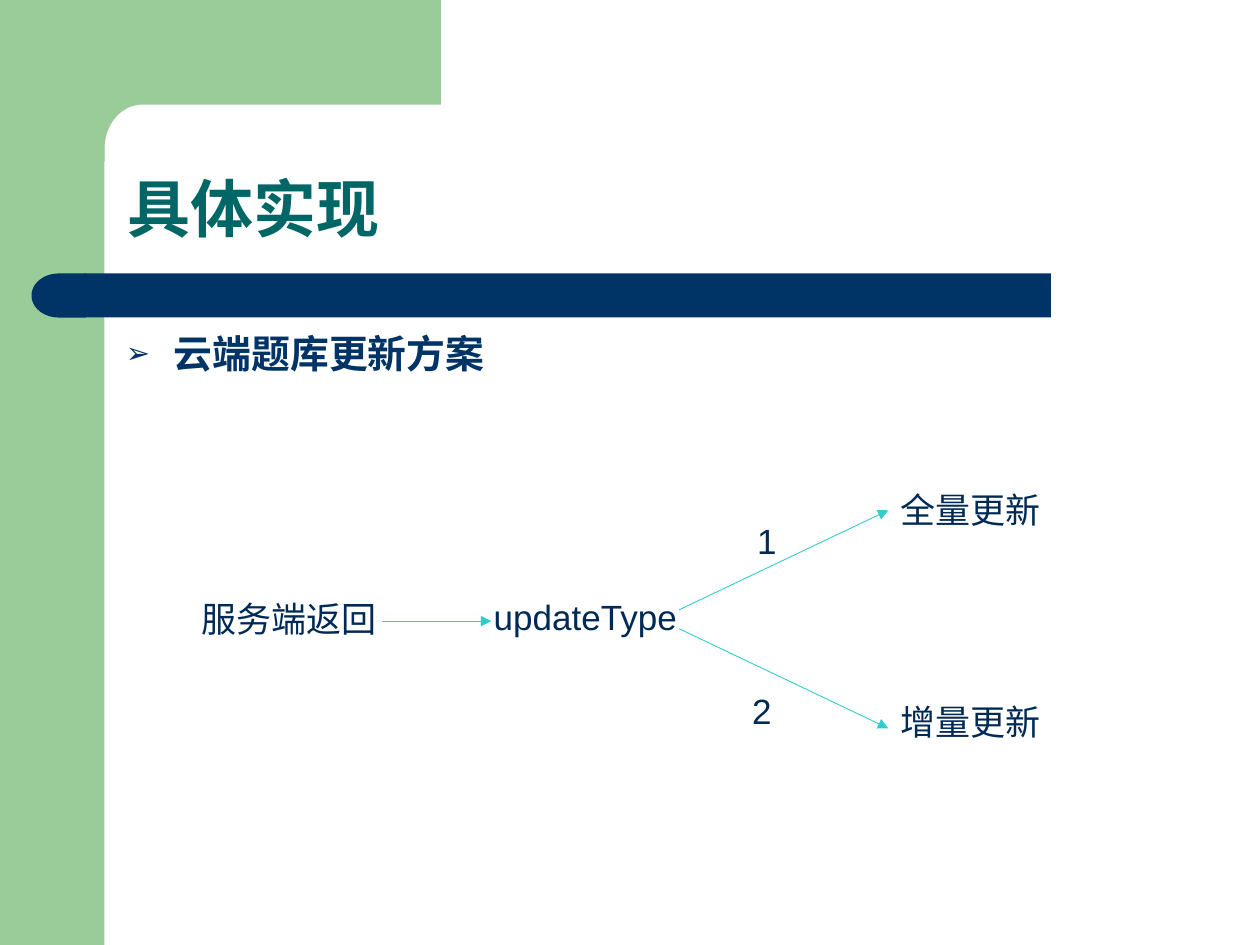
from dataclasses import dataclass
from math import cos, pi, sin

from lxml.etree import SubElement
from pptx import Presentation
from pptx.dml.color import RGBColor
from pptx.enum.shapes import MSO_CONNECTOR, MSO_SHAPE
from pptx.enum.text import MSO_ANCHOR
from pptx.oxml.ns import qn
from pptx.util import Inches, Pt


@dataclass(frozen=True)
class Theme:
    font: str = "Arial"
    green: str = "99CC99"
    navy: str = "003366"
    title: str = "006666"
    label: str = "002A56"
    arrow: str = "33CCCC"
    title_size: float = 36
    body_size: float = 22.2
    label_size: float = 20
    arrow_width: float = 0.5


THEME = Theme()

# Content
TITLE = "具体实现"
TOPIC = "云端题库更新方案"
LABELS = [  # text, left, top, width
    ("服务端返回", 1.5, 4.69, 1.81),
    ("updateType", 3.82, 4.68, 1.81),
    ("1", 5.91, 4.07, 0.31),
    ("2", 5.87, 5.42, 0.31),
    ("全量更新", 7.05, 3.83, 1.97),
    ("增量更新", 7.05, 5.51, 1.97),
]
LABEL_HEIGHT = 0.44
ARROWS = [  # start, end
    ((3.03, 4.93), (3.9, 4.93)),
    ((5.39, 4.84), (7.05, 4.05)),
    ((5.39, 4.99), (7.05, 5.78)),
]
PANELS = [  # preset, left, top, width, height, colour, rotation
    (MSO_SHAPE.RECTANGLE, 0, 0, 0.83, 7.5, THEME.green, 0),
    (MSO_SHAPE.RECTANGLE, 0.67, 2.17, 7.67, 0.35, THEME.navy, 0),
    (MSO_SHAPE.FLOWCHART_DELAY, 0.25, 2.17, 0.43, 0.35, THEME.navy, 180),
]


def paint(shape, color):
    shape.shadow.inherit = False
    shape.fill.solid()
    shape.fill.fore_color.rgb = RGBColor.from_string(color)
    shape.line.fill.background()


def add_panel(page, preset, left, top, width, height, color, rotation):
    panel = page.shapes.add_shape(
        preset, Inches(left), Inches(top), Inches(width), Inches(height))
    panel.rotation = rotation
    paint(panel, color)


def add_corner(page):
    """Green top block whose inner corner is a quarter ellipse."""
    edge_x, edge_y, radius_x, radius_y, steps = 0.83, 0.83, 0.3, 0.35, 16
    angles = [pi / 2 * step / steps for step in range(steps + 1)]
    curve = [(edge_x + radius_x * (1 - sin(angle)),
              edge_y + radius_y * (1 - cos(angle))) for angle in angles]
    points = [(3.5, 0), (3.5, edge_y), *curve, (edge_x, 1.28), (0.5, 1.28), (0.5, 0)]
    outline = [(Inches(x), Inches(y)) for x, y in points]
    builder = page.shapes.build_freeform(*outline[0])
    builder.add_line_segments(outline[1:], close=True)
    paint(builder.convert_to_shape(), THEME.green)


def add_text(page, text, left, top, width, height, size, color,
             bold=False, anchor=MSO_ANCHOR.TOP):
    box = page.shapes.add_textbox(
        Inches(left), Inches(top), Inches(width), Inches(height))
    frame = box.text_frame
    frame.word_wrap = True
    frame.vertical_anchor = anchor
    para = frame.paragraphs[0]
    para.text = text
    return para, (size, color, bold)


def style(para, size, color, bold):
    para.font.name = THEME.font
    para.font.size = Pt(size)
    para.font.bold = bold
    para.font.color.rgb = RGBColor.from_string(color)


def add_bullet(para, char, color, percent, indent):
    properties = para._p.get_or_add_pPr()
    properties.set("marL", str(Inches(indent)))
    properties.set("indent", str(-Inches(indent)))
    bullet_color = SubElement(properties, qn("a:buClr"))
    SubElement(bullet_color, qn("a:srgbClr"), val=color)
    SubElement(properties, qn("a:buSzPct"), val=str(percent * 1000))
    SubElement(properties, qn("a:buFont"), typeface=THEME.font)
    SubElement(properties, qn("a:buChar"), char=char)


def add_arrow(page, start, end):
    arrow = page.shapes.add_connector(
        MSO_CONNECTOR.STRAIGHT, *(Inches(value) for value in (*start, *end)))
    arrow.line.color.rgb = RGBColor.from_string(THEME.arrow)
    arrow.line.width = Pt(THEME.arrow_width)
    SubElement(arrow.line._get_or_add_ln(), qn("a:tailEnd"), type="triangle")
    SubElement(arrow._element.spPr, qn("a:effectLst"))


def main():
    deck = Presentation()
    deck.slide_width, deck.slide_height = Inches(10), Inches(7.5)
    page = deck.slides.add_slide(deck.slide_layouts[6])

    # Frame
    add_corner(page)
    for panel in PANELS:
        add_panel(page, *panel)

    # Title and topic
    para, look = add_text(page, TITLE, 0.91, 0.91, 8.51, 1.09, THEME.title_size,
                          THEME.title, True, MSO_ANCHOR.BOTTOM)
    para.line_spacing = 0.9
    style(para, *look)
    para, look = add_text(page, TOPIC, 0.9, 2.57, 8.41, 0.47,
                          THEME.body_size, THEME.navy, True)
    add_bullet(para, "➢", THEME.navy, 75, 0.38)
    style(para, *look)

    # Update flow
    for text, left, top, width in LABELS:
        para, look = add_text(page, text, left, top, width, LABEL_HEIGHT,
                              THEME.label_size, THEME.label)
        style(para, *look)
    for start, end in ARROWS:
        add_arrow(page, start, end)

    deck.save("out.pptx")


if __name__ == "__main__":
    main()
